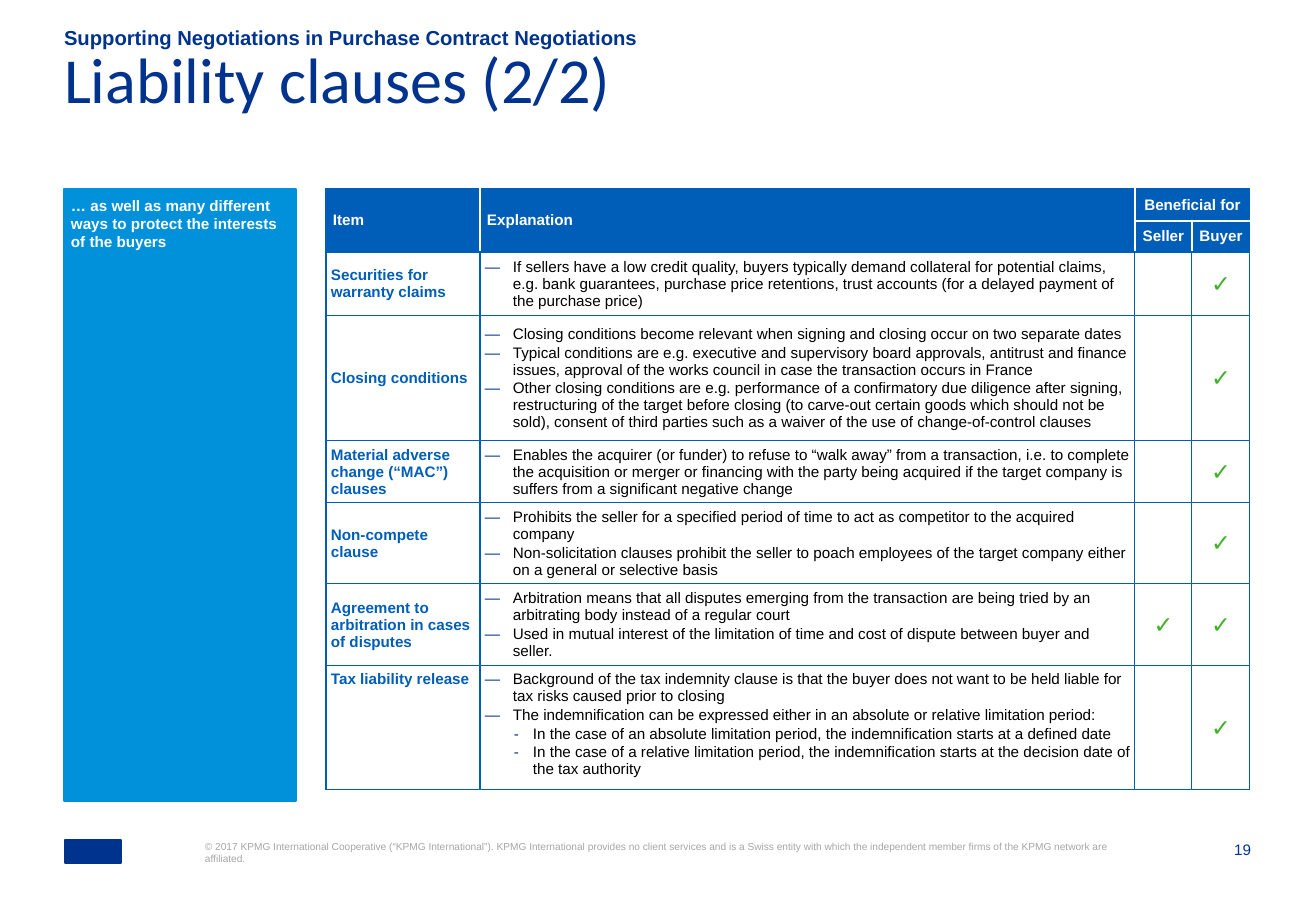
"""Builds the slide on liability clauses in purchase contracts."""
import lxml.etree
import pptx
import pptx.dml.color
import pptx.enum.shapes
import pptx.enum.text
import pptx.oxml.ns
import pptx.util

PX = 7526
COLOURS = {"navy": "00338D", "blue": "005EB8", "sky": "0091DA", "green": "43B02A",
           "grey": "A6A6A6", "white": "FFFFFF", "black": "000000"}
ALIGN = pptx.enum.text.PP_ALIGN
ANCHOR = pptx.enum.text.MSO_ANCHOR
CHECK = "✓"
BULLETS = [("—", 28, 28), ("-", 48, 19)]


def add_text(para, text, size, colour, bold=False, align=ALIGN.LEFT, font="Arial"):
    """Add one formatted run to a paragraph."""
    para.alignment = align
    span = para.add_run()
    span.text = text
    span.font.name = font
    span.font.size = pptx.util.Pt(size)
    span.font.bold = bold
    span.font.color.rgb = pptx.dml.color.RGBColor.from_string(COLOURS[colour])


def add_element(parent, tag, **attributes):
    """Append a drawing element to its parent."""
    return lxml.etree.SubElement(parent, pptx.oxml.ns.qn(tag), attributes)


deck = pptx.Presentation()
deck.slide_width = 1316 * PX
deck.slide_height = 911 * PX
page = deck.slides.add_slide(deck.slide_layouts[4])
title, sidebar, subtitle = (page.placeholders[index] for index in (0, 1, 3))
for index in (2, 4):
    unused = page.placeholders[index].element
    unused.getparent().remove(unused)
number = page.shapes.add_textbox(0, 0, 0, 0)
copyright_line = page.shapes.add_textbox(0, 0, 0, 0)

texts = [
    (title, (64, 60, 1185, 96), 0, ANCHOR.TOP, "Liability clauses (2/2)",
     (38, "navy", False, ALIGN.LEFT, "Calibri")),
    (subtitle, (64, 27, 1142, 23), 0, ANCHOR.BOTTOM,
     "Supporting Negotiations in Purchase Contract Negotiations", (12, "navy", True)),
    (sidebar, (64, 189, 232, 612), 7, ANCHOR.TOP,
     "… as well as many different ways to protect the interests of the buyers",
     (9, "white", True)),
    (number, (1199, 840, 52, 19), 0, ANCHOR.TOP, "19", (9, "navy", False, ALIGN.RIGHT)),
    (copyright_line, (205, 840, 910, 50), 0, ANCHOR.TOP,
     "© 2017 KPMG International Cooperative (“KPMG International”). KPMG International "
     "provides no client services and is a Swiss entity with which the independent member "
     "firms of the KPMG network are affiliated.", (6, "grey")),
]
for box, place, inset, anchor, text, style in texts:
    box.left, box.top, box.width, box.height = (length * PX for length in place)
    frame = box.text_frame
    frame.word_wrap = True
    frame.auto_size = pptx.enum.text.MSO_AUTO_SIZE.NONE
    frame.vertical_anchor = anchor
    frame.margin_left = frame.margin_top = frame.margin_right = frame.margin_bottom = inset * PX
    frame.paragraphs[0].space_before = pptx.util.Pt(0)
    add_text(frame.paragraphs[0], text, *style)
title.text_frame.paragraphs[0].line_spacing = 0.7

emblem = page.shapes.add_shape(pptx.enum.shapes.MSO_SHAPE.RECTANGLE,
                               65 * PX, 840 * PX, 56 * PX, 23 * PX)
emblem.shadow.inherit = False
for block, colour in ((sidebar, "sky"), (emblem, "navy")):
    rgb = pptx.dml.color.RGBColor.from_string(COLOURS[colour])
    block.fill.solid()
    block.fill.fore_color.rgb = rgb
    block.line.color.rgb = rgb
    block.line.width = pptx.util.Pt(0.75)

clauses = [
    ("Securities for warranty claims", [
        (0, "If sellers have a low credit quality, buyers typically demand collateral for "
            "potential claims, e.g. bank guarantees, purchase price retentions, trust accounts "
            "(for a delayed payment of the purchase price)")], "", CHECK),
    ("Closing conditions", [
        (0, "Closing conditions become relevant when signing and closing occur on two separate "
            "dates"),
        (0, "Typical conditions are e.g. executive and supervisory board approvals, antitrust "
            "and finance issues, approval of the works council in case the transaction occurs "
            "in France"),
        (0, "Other closing conditions are e.g. performance of a confirmatory due diligence after "
            "signing, restructuring of the target before closing (to carve-out certain goods "
            "which should not be sold), consent of third parties such as a waiver of the use of "
            "change-of-control clauses")], "", CHECK),
    ("Material adverse change (“MAC”) clauses", [
        (0, "Enables the acquirer (or funder) to refuse to “walk away” from a transaction, i.e. "
            "to complete the acquisition or merger or financing with the party being acquired if "
            "the target company is suffers from a significant negative change")], "", CHECK),
    ("Non-compete clause", [
        (0, "Prohibits the seller for a specified period of time to act as competitor to the "
            "acquired company"),
        (0, "Non-solicitation clauses prohibit the seller to poach employees of the target "
            "company either on a general or selective basis")], "", CHECK),
    ("Agreement to arbitration in cases of disputes", [
        (0, "Arbitration means that all disputes emerging from the transaction are being tried "
            "by an arbitrating body instead of a regular court"),
        (0, "Used in mutual interest of the limitation of time and cost of dispute between buyer "
            "and seller.")], CHECK, CHECK),
    ("Tax liability release", [
        (0, "Background of the tax indemnity clause is that the buyer does not want to be held "
            "liable for tax risks caused prior to closing"),
        (0, "The indemnification can be expressed either in an absolute or relative limitation "
            "period:"),
        (1, "In the case of an absolute limitation period, the indemnification starts at a "
            "defined date"),
        (1, "In the case of a relative limitation period, the indemnification starts at the "
            "decision date of the tax authority")], "", CHECK),
]
rows = [("Item", "Explanation", "Beneficial for", ""), ("", "", "Seller", "Buyer")] + clauses
widths = [154, 655, 57, 58]
heights = [32, 31, 64, 125, 62, 81, 82, 124]
table = page.shapes.add_table(len(rows), len(widths), 326 * PX, 189 * PX,
                              sum(widths) * PX, sum(heights) * PX).table
table.first_row = table.horz_banding = False
for column, width in zip(table.columns, widths):
    column.width = width * PX
for row, height in zip(table.rows, heights):
    row.height = height * PX

white_uprights = {(0, 1), (0, 2), (1, 1), (1, 2), (1, 3)}
white_levels = {(1, 2), (1, 3)}
for r, row in enumerate(rows):
    header = r < 2
    for c, content in enumerate(row):
        cell = table.cell(r, c)
        inset = 7 if header or c > 1 else 5
        cell.margin_left = cell.margin_top = cell.margin_right = cell.margin_bottom = inset * PX
        top_aligned = r == len(rows) - 1 and c < 2
        cell.vertical_anchor = ANCHOR.TOP if top_aligned else ANCHOR.MIDDLE
        properties = cell._tc.get_or_add_tcPr()
        edges = [("a:lnL", (r, c) in white_uprights), ("a:lnR", (r, c + 1) in white_uprights),
                 ("a:lnT", (r, c) in white_levels), ("a:lnB", (r + 1, c) in white_levels)]
        for tag, white in edges:
            line = add_element(properties, tag, w="12700" if white else "9525")
            fill = add_element(line, "a:solidFill")
            add_element(fill, "a:srgbClr", val=COLOURS["white" if white else "blue"])
        cell.fill.solid()
        cell.fill.fore_color.rgb = pptx.dml.color.RGBColor.from_string(
            COLOURS["blue" if header else "white"])
        para = cell.text_frame.paragraphs[0]
        if not content:
            para.font.size = pptx.util.Pt(9)
        elif header:
            add_text(para, content, 9, "white", True, ALIGN.CENTER if c > 1 else ALIGN.LEFT)
        elif c == 0:
            add_text(para, content, 9, "blue", True)
        elif c > 1:
            add_text(para, content, 14, "green", False, ALIGN.CENTER)
        else:
            for i, (level, text) in enumerate(content):
                if i:
                    para = cell.text_frame.add_paragraph()
                    para.space_before = pptx.util.Pt(1)
                para.level = level
                symbol, margin, hang = BULLETS[level]
                settings = para._p.get_or_add_pPr()
                settings.set("marL", str(margin * PX))
                settings.set("indent", str(-hang * PX))
                bullet_colour = add_element(settings, "a:buClr")
                add_element(bullet_colour, "a:srgbClr", val=COLOURS["navy"])
                add_element(settings, "a:buFont", typeface="Arial")
                add_element(settings, "a:buChar", char=symbol)
                add_text(para, text, 9, "black")
for c in (0, 1):
    table.cell(0, c).merge(table.cell(1, c))
table.cell(0, 2).merge(table.cell(0, 3))

deck.save("out.pptx")
